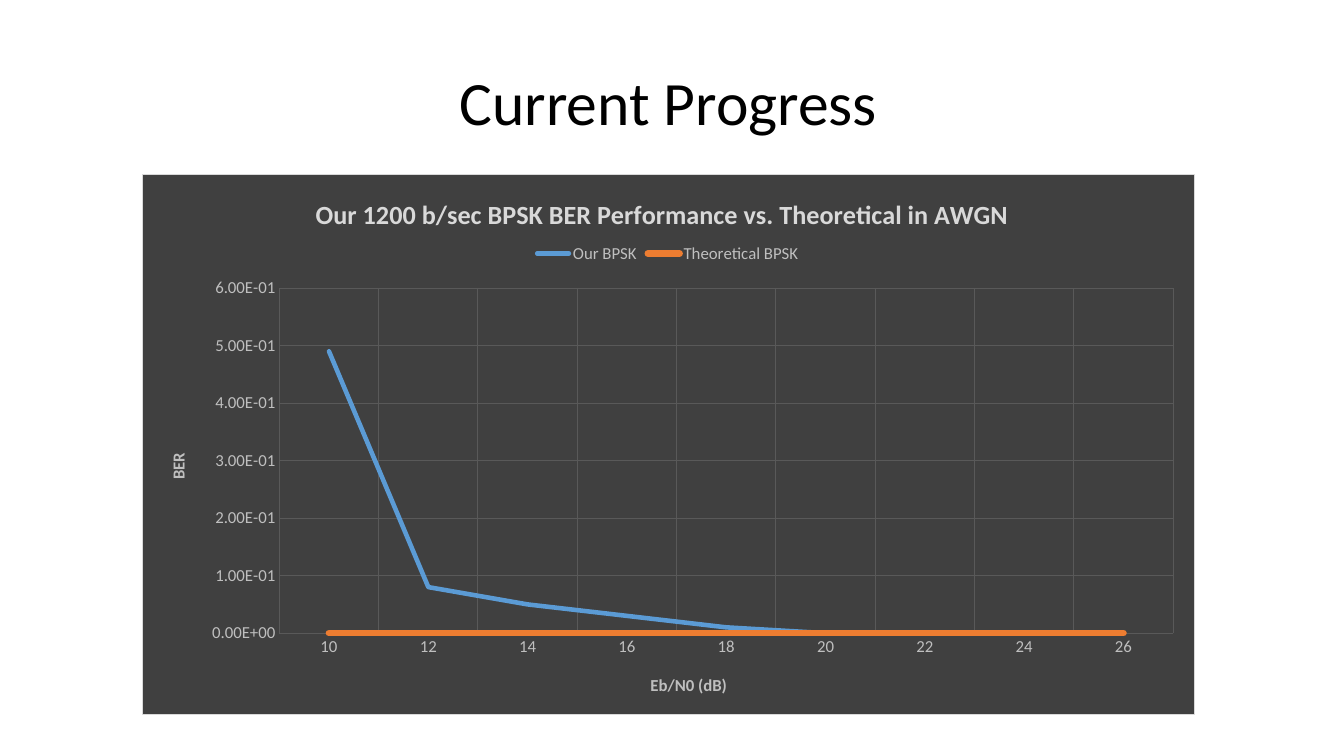
from dataclasses import dataclass
from typing import Any

from lxml import etree
from pptx import Presentation
from pptx import util as u
from pptx.chart.data import CategoryChartData
from pptx.dml.color import RGBColor
from pptx.enum import chart as ch
from pptx.enum import text
from pptx.oxml import parse_xml
from pptx.oxml.ns import nsdecls, qn

FONT = "Calibri"
BLACK = RGBColor(0x00, 0x00, 0x00)
CHARCOAL = RGBColor(0x40, 0x40, 0x40)
GRID_GRAY = RGBColor(0x59, 0x59, 0x59)
LABEL_GRAY = RGBColor(0xBF, 0xBF, 0xBF)
LIGHT_GRAY = RGBColor(0xD9, 0xD9, 0xD9)
BLUE = RGBColor(0x5B, 0x9B, 0xD5)
ORANGE = RGBColor(0xED, 0x7D, 0x31)


@dataclass
class Curve:
    name: str
    values: list[float]
    color: RGBColor
    width: float


EB_N0 = [str(db) for db in range(10, 27, 2)]
CURVES = [
    Curve("Our BPSK", [0.49, 0.08, 0.05, 0.03, 0.01, 0, 0, 0, 0], BLUE, 3.25),
    Curve("Theoretical BPSK", [0] * len(EB_N0), ORANGE, 4.75),
]


def style_font(font: Any, size: float, color: RGBColor, bold: bool = False) -> None:
    font.name, font.size, font.bold = FONT, u.Pt(size), bold
    font.color.rgb = color


def place(parent: Any, index: int, **fractions: float) -> None:
    """Give a chart part a manual layout, in fractions of the chart."""
    for old in parent.findall(qn("c:layout")):
        parent.remove(old)
    layout = etree.Element(qn("c:layout"))
    manual = etree.SubElement(layout, qn("c:manualLayout"))
    if "w" in fractions:
        etree.SubElement(manual, qn("c:layoutTarget")).set("val", "inner")
    for key in ("x", "y"):
        etree.SubElement(manual, qn(f"c:{key}Mode")).set("val", "edge")
    for key, value in fractions.items():
        etree.SubElement(manual, qn(f"c:{key}")).set("val", str(value))
    parent.insert(index, layout)


def set_title(owner: Any, words: str, size: float, color: RGBColor, x: float, y: float) -> None:
    title = owner.chart_title if hasattr(owner, "chart_title") else owner.axis_title
    title.text_frame.text = words
    style_font(title.text_frame.paragraphs[0].runs[0].font, size, color, bold=True)
    place(title._element, 1, x=x, y=y)


def style_axis(axis: Any, words: str, x: float, y: float) -> None:
    axis.has_major_gridlines = True
    grid = axis.major_gridlines.format.line
    grid.color.rgb, grid.width = GRID_GRAY, u.Pt(0.75)
    axis.major_tick_mark = axis.minor_tick_mark = ch.XL_TICK_MARK.NONE
    axis.format.line.fill.background()
    style_font(axis.tick_labels.font, 12, LABEL_GRAY)
    set_title(axis, words, 12, LABEL_GRAY, x, y)


def add_ber_chart(s: Any) -> None:
    data = CategoryChartData(number_format="0.00E+00")
    data.categories = EB_N0
    for curve in CURVES:
        data.add_series(curve.name, curve.values)
    chart = s.shapes.add_chart(
        ch.XL_CHART_TYPE.LINE, u.Inches(1.41), u.Inches(1.73),
        u.Inches(10.44), u.Inches(5.36), data).chart
    style_font(chart.font, 10, BLACK)

    # Dark background with a thin border
    background = parse_xml(
        f'<c:spPr {nsdecls("c", "a")}>'
        f'<a:solidFill><a:srgbClr val="{CHARCOAL}"/></a:solidFill>'
        f'<a:ln w="{u.Pt(0.75)}"><a:solidFill><a:srgbClr val="{LIGHT_GRAY}"/></a:solidFill></a:ln>'
        '</c:spPr>')
    space = chart._chartSpace
    space.find(qn("c:chart")).addnext(background)

    # Title, axes and legend
    chart.has_title = True
    set_title(chart, "Our 1200 b/sec BPSK BER Performance vs. Theoretical in AWGN",
              18.7, LIGHT_GRAY, 0.16, 0.03)
    style_axis(chart.category_axis, "Eb/N0 (dB)", 0.48, 0.92)
    style_axis(chart.value_axis, "BER", 0.02, 0.51)
    chart.value_axis.minimum_scale, chart.value_axis.maximum_scale = 0, 0.6
    chart.value_axis.major_unit = 0.1
    chart.value_axis.tick_labels.number_format = "0.00E+00"
    chart.value_axis.tick_labels.number_format_is_linked = False
    chart.has_legend = True
    chart.legend.position = ch.XL_LEGEND_POSITION.TOP
    chart.legend.include_in_layout = False
    style_font(chart.legend.font, 12, LABEL_GRAY)
    place(chart.legend._element, 1, x=0.37, y=0.12)
    place(space.find(f"{qn('c:chart')}/{qn('c:plotArea')}"), 0, x=0.13, y=0.21, w=0.85, h=0.64)

    # Curves
    for series, curve in zip(chart.plots[0].series, CURVES):
        series.smooth = False
        series.marker.style = ch.XL_MARKER_STYLE.NONE
        line = series.format.line
        line.color.rgb, line.width = curve.color, u.Pt(curve.width)
        line._get_or_add_ln().set("cap", "rnd")


def main() -> None:
    prs = Presentation()
    prs.slide_width, prs.slide_height = u.Inches(13.33), u.Inches(7.5)
    s = prs.slides.add_slide(prs.slide_layouts[5])

    # Slide title
    title = s.shapes.title
    title.left, title.top = u.Inches(0.44), u.Inches(0.58)
    title.width, title.height = u.Inches(12.38), u.Inches(0.84)
    tf = title.text_frame
    tf.text = "Current Progress"
    tf.vertical_anchor = text.MSO_ANCHOR.MIDDLE
    p = tf.paragraphs[0]
    p.alignment = text.PP_ALIGN.CENTER
    style_font(p.runs[0].font, 44, BLACK)

    add_ber_chart(s)
    prs.save("out.pptx")


if __name__ == "__main__":
    main()
